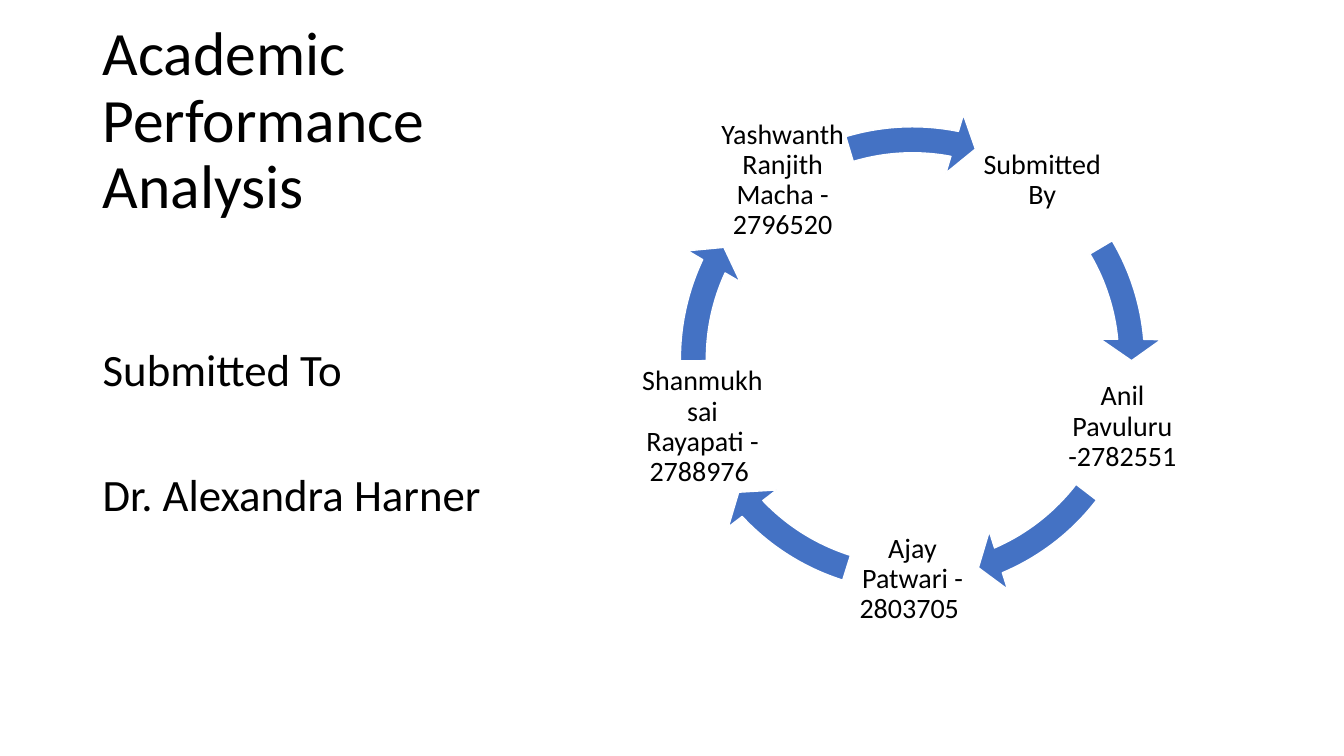
import math
from dataclasses import dataclass

import pptx
import pptx.dml.color
import pptx.enum.shapes
import pptx.enum.text
import pptx.util

Inches = pptx.util.Inches
Align = pptx.enum.text.PP_ALIGN
Anchor = pptx.enum.text.MSO_ANCHOR

COLORS = {"text": "000000", "arrow": "4472C4", "edge": "FFFFFF"}
FONT = "Calibri"
HUB_X, HUB_Y = 9.05, 3.56
RADIUS = 2.19
NODE = 1.32
RING = 4.95
FIRST, STEP = -54, 72


@dataclass
class Stage:
    label: str
    start: float
    end: float


STAGES = [
    Stage("Submitted By", 329.4, 354.9),
    Stage("Anil Pavuluru -2782551", 37.5, 66.9),
    Stage("Ajay Patwari - 2803705 ", 107.5, 136.9),
    Stage("Shanmukh sai Rayapati - 2788976 ", 179.5, 205),
    Stage("Yashwanth Ranjith Macha - 2796520", 253.3, 281.1),
]


def color(name: str) -> pptx.dml.color.RGBColor:
    return pptx.dml.color.RGBColor.from_string(COLORS[name])


def add_text(slide, lines: list[str], left: float, top: float, width: float,
             height: float, *, size: float, align=Align.LEFT, anchor=Anchor.TOP,
             side: float = 0.1, above: float = 0.05, below: float = 0.05,
             gap: float = 0) -> None:
    box = slide.shapes.add_textbox(Inches(left), Inches(top), Inches(width), Inches(height))
    frame = box.text_frame
    frame.word_wrap = True
    frame.vertical_anchor = anchor
    frame.margin_left = frame.margin_right = Inches(side)
    frame.margin_top, frame.margin_bottom = Inches(above), Inches(below)
    for index, line in enumerate(lines):
        para = frame.add_paragraph() if index else frame.paragraphs[0]
        para.alignment = align
        para.line_spacing = 0.9
        para.space_before = pptx.util.Pt(gap if index else 0)
        run = para.add_run()
        run.text = line
        run.font.name = FONT
        run.font.size = pptx.util.Pt(size)
        run.font.color.rgb = color("text")


def add_arrow(slide, stage: Stage) -> None:
    arrow = slide.shapes.add_shape(
        pptx.enum.shapes.MSO_SHAPE.CIRCULAR_ARROW,
        Inches(HUB_X - RING / 2), Inches(HUB_Y - RING / 2), Inches(RING), Inches(RING))
    arrow.shadow.inherit = False
    arrow.fill.solid()
    arrow.fill.fore_color.rgb = color("arrow")
    arrow.line.color.rgb = color("edge")
    arrow.line.width = pptx.util.Pt(1)
    values = (5.2 / 100, 5.59 * 0.6, stage.end * 0.6, stage.start * 0.6, 6.1 / 100)
    for index, value in enumerate(values):
        arrow.adjustments[index] = value


def add_cycle(slide) -> None:
    for index, stage in enumerate(STAGES):
        angle = math.radians(FIRST + STEP * index)
        left = HUB_X + RADIUS * math.cos(angle) - NODE / 2
        top = HUB_Y + RADIUS * math.sin(angle) - NODE / 2
        add_text(slide, [stage.label], left, top, NODE, NODE, size=20,
                 align=Align.CENTER, anchor=Anchor.MIDDLE,
                 side=0.03, above=0.03, below=0.03)
        add_arrow(slide, stage)


def main() -> None:
    deck = pptx.Presentation()
    deck.slide_width, deck.slide_height = Inches(13.33), Inches(7.5)
    slide = deck.slides.add_slide(deck.slide_layouts[6])
    add_text(slide, ["Academic Performance Analysis"], 0.92, 0.5, 4.3, 1.75,
             size=44, anchor=Anchor.BOTTOM)
    add_cycle(slide)
    add_text(slide, ["Submitted To", "Dr. Alexandra Harner"], 0.92, 2.25, 4.3, 4.17,
             size=32, above=1.2, gap=55)
    deck.save("out.pptx")


if __name__ == "__main__":
    main()
